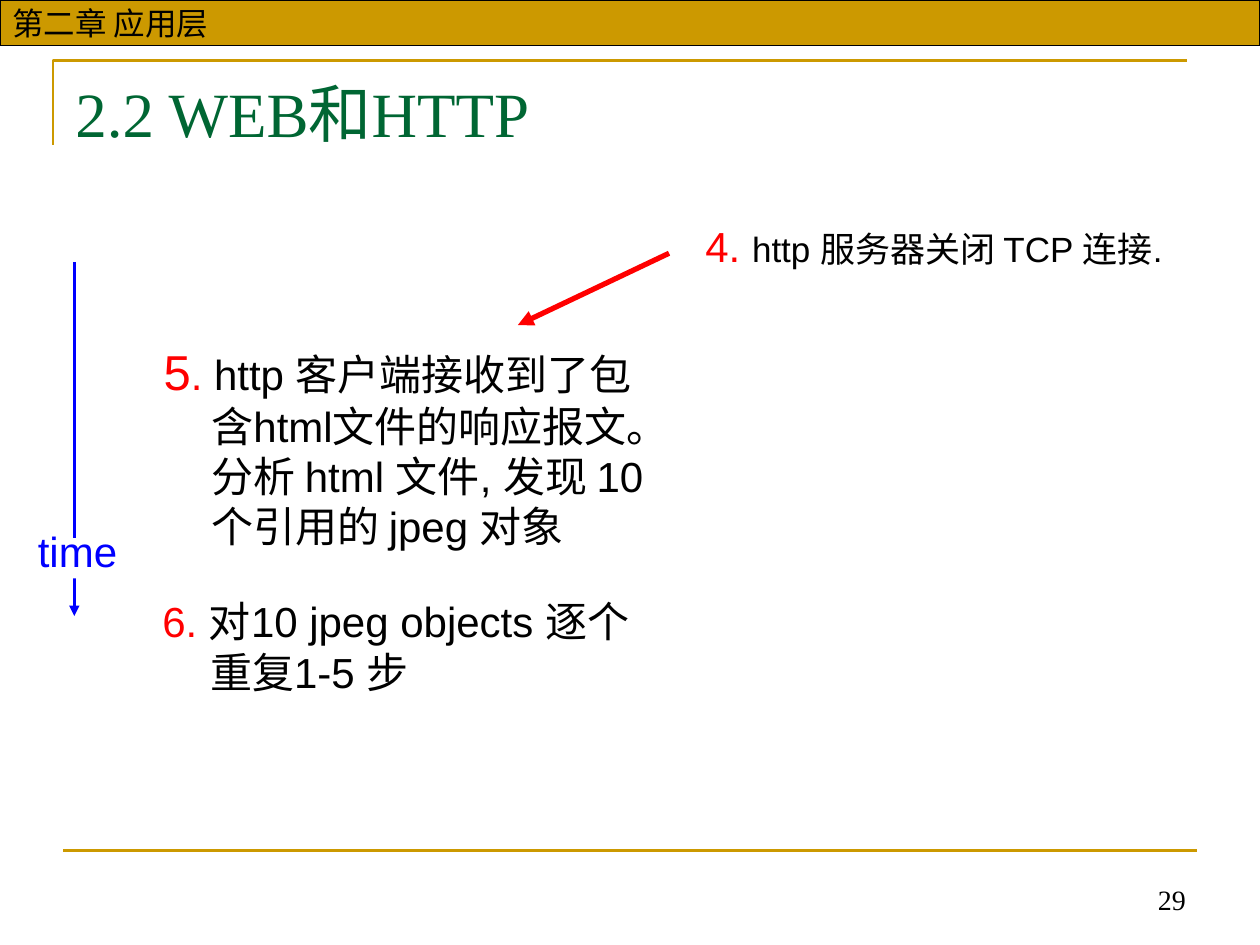
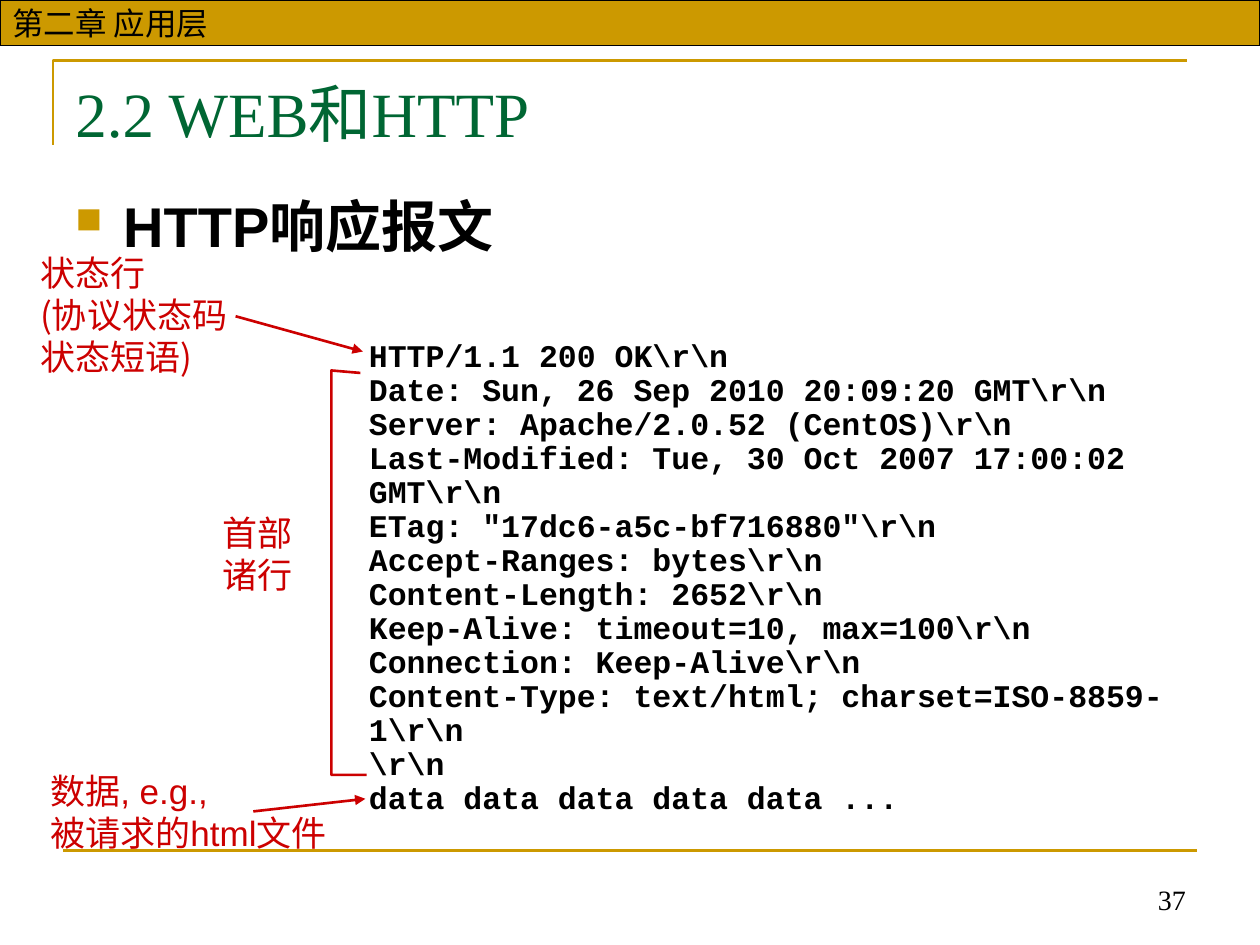
import pptx
import pptx.dml.color
import pptx.enum.shapes
import pptx.enum.text
import pptx.oxml
import pptx.oxml.ns
import pptx.util
from pptx.util import Inches

RGBColor = pptx.dml.color.RGBColor
ALIGN = pptx.enum.text.PP_ALIGN
ANCHOR = pptx.enum.text.MSO_ANCHOR

GOLD = RGBColor(0xCC, 0x99, 0x00)
GREEN = RGBColor(0x00, 0x66, 0x33)
BLACK = RGBColor(0x00, 0x00, 0x00)
WHITE = RGBColor(0xFF, 0xFF, 0xFF)
RED = RGBColor(0xFF, 0x00, 0x00)
DARK_RED = RGBColor(0xCC, 0x00, 0x00)
BLUE = RGBColor(0x00, 0x00, 0xFF)

SANS, SERIF, MONO, CJK = "Arial", "Times New Roman", "Courier New", "Noto Sans CJK SC"
HANGING = {"marL": Inches(0.38), "indent": -Inches(0.38)}

RESPONSE = r"""HTTP/1.1 200 OK\r\n
Date: Sun, 26 Sep 2010 20:09:20 GMT\r\n
Server: Apache/2.0.52 (CentOS)\r\n
Last-Modified: Tue, 30 Oct 2007 17:00:02 GMT\r\n
ETag: "17dc6-a5c-bf716880"\r\n
Accept-Ranges: bytes\r\n
Content-Length: 2652\r\n
Keep-Alive: timeout=10, max=100\r\n
Connection: Keep-Alive\r\n
Content-Type: text/html; charset=ISO-8859-1\r\n
\r\n
data data data data data ..."""


def add_xml(parent, tag, **attributes):
    child = parent.makeelement(pptx.oxml.ns.qn(tag), attributes)
    parent.append(child)
    return child


class LectureSlides:
    def __init__(self, deck):
        self.deck = deck
        self.slide = None

    def new_slide(self, title, number):
        """Start a slide with the frame, chapter band, title and page number."""
        self.slide = self.deck.slides.add_slide(self.deck.slide_layouts[6])
        self.outline([(0.42, 1.15), (0.42, 0.48), (9.42, 0.48)], GOLD)
        self.line((0.5, 6.75), (9.5, 6.75), GOLD)
        band = self.rectangle(0, 0, 10, 0.36, GOLD, BLACK)
        self.fill_text(band.text_frame, [[("第二章 应用层", 18, BLACK)]], anchor=ANCHOR.MIDDLE)
        self.text((6.34, 6.82, 3.17, 0.5), [[(str(number), 16, BLACK)]], font=SERIF,
                  align=ALIGN.RIGHT, anchor=ANCHOR.BOTTOM)
        self.text((0.5, 0.54, 9, 0.77), [[(title, 36, GREEN)]], font=SERIF)

    def text(self, place, paragraphs, **style):
        box = self.slide.shapes.add_textbox(*map(Inches, place))
        self.fill_text(box.text_frame, paragraphs, **style)

    def label(self, place, lines, size, color, **style):
        """Place unwrapped text in a box that fits its lines."""
        self.text(place, [[(line, size, color)] for line in lines], wrap=False, grow=True, **style)

    def fill_text(self, frame, paragraphs, font=SANS, bold=False, align=ALIGN.LEFT,
                  anchor=ANCHOR.TOP, spacing=1.0, wrap=True, grow=False,
                  hanging=False, bullet=None):
        """Write paragraphs, each a list of (text, size, color) spans."""
        frame.word_wrap = wrap
        frame.vertical_anchor = anchor
        if grow:
            frame.auto_size = pptx.enum.text.MSO_AUTO_SIZE.SHAPE_TO_FIT_TEXT
        for index, spans in enumerate(paragraphs):
            para = frame.add_paragraph() if index else frame.paragraphs[0]
            para.alignment = align
            para.line_spacing = spacing
            properties = para._p.get_or_add_pPr()
            if hanging:
                for name, value in HANGING.items():
                    properties.set(name, str(value))
            if bullet:
                bullet_color = add_xml(properties, "a:buClr")
                add_xml(bullet_color, "a:srgbClr", val=str(GOLD))
                add_xml(properties, "a:buSzPct", val="65000")
                add_xml(properties, "a:buChar", char=bullet)
            for content, size, color in spans:
                span = para.add_run()
                span.text = content
                formats = {"name": font, "size": pptx.util.Pt(size), "bold": bold}
                for name, value in formats.items():
                    setattr(span.font, name, value)
                span.font.color.rgb = color
                add_xml(span._r.get_or_add_rPr(), "a:ea", typeface=CJK)

    def rectangle(self, left, top, width, height, fill, border=None):
        shape = self.slide.shapes.add_shape(
            pptx.enum.shapes.MSO_SHAPE.RECTANGLE, *map(Inches, (left, top, width, height)))
        shape.shadow.inherit = False
        shape.fill.solid()
        shape.fill.fore_color.rgb = fill
        if border is None:
            shape.line.fill.background()
        else:
            self.stroke(shape, border, 0.75)
        return shape

    def stroke(self, shape, color, width):
        shape.line.color.rgb = color
        shape.line.width = pptx.util.Pt(width)

    def outline(self, points, color, width=1.5):
        start, *rest = [tuple(map(Inches, point)) for point in points]
        builder = self.slide.shapes.build_freeform(*start)
        builder.add_line_segments(rest, close=False)
        shape = builder.convert_to_shape()
        shape.shadow.inherit = False
        shape.fill.background()
        self.stroke(shape, color, width)

    def line(self, start, end, color, width=1.5, arrow=False):
        connector = self.slide.shapes.add_connector(
            pptx.enum.shapes.MSO_CONNECTOR.STRAIGHT, *map(Inches, start + end))
        self.stroke(connector, color, width)
        if arrow:
            add_xml(connector.line._get_or_add_ln(), "a:tailEnd", type="triangle")
        add_xml(connector._element.spPr, "a:effectLst")


def build_connection_steps(page):
    page.new_slide("2.2 WEB和HTTP", 29)
    steps = [
        ((1.2, 2.66, 4.17, 1.68),
         [("5", 28, RED), (".", 24, RED),
          (" http 客户端接收到了包含html文件的响应报文。分析 html 文件, "
           "发现 10 个引用的 jpeg 对象", 24, BLACK)]),
        ((1.19, 4.68, 4.17, 0.73),
         [("6. ", 24, RED), ("对10 jpeg objects 逐个重复1-5 步", 24, BLACK)]),
        ((5.5, 1.7, 4.17, 0.8),
         [("4. ", 24, RED), ("http 服务器关闭 TCP 连接.", 20, BLACK)]),
    ]
    for place, spans in steps:
        page.text(place, [spans], hanging=True)
    page.line((0.59, 2.08), (0.59, 4.89), BLUE, arrow=True)
    page.rectangle(0.33, 4.27, 0.37, 0.32, WHITE)
    page.label((0.2, 4.12, 0.83, 0.5), ["time"], 24, BLUE, align=ALIGN.CENTER)
    page.line((5.31, 2.01), (4.11, 2.58), RED, width=3, arrow=True)


def build_response_message(page):
    page.new_slide("2.2 WEB和HTTP", 37)
    page.text((0.5, 1.47, 9, 5.2), [[("HTTP响应报文", 32, BLACK)]],
              bold=True, hanging=True, bullet="■")
    page.label((0.22, 1.95, 1.82, 1.1), ["状态行", "(协议状态码", "状态短语)"],
               20, DARK_RED, font=CJK)
    page.line((1.87, 2.51), (2.88, 2.79), DARK_RED, arrow=True)
    page.outline([(2.86, 2.96), (2.63, 2.94), (2.63, 6.15), (2.91, 6.15)], DARK_RED)
    page.label((1.53, 4.01, 0.89, 0.77), ["首部", "诸行"], 20, DARK_RED,
               font=CJK, align=ALIGN.RIGHT)
    page.line((2.01, 6.44), (2.9, 6.34), DARK_RED, arrow=True)
    page.label((0.3, 6.06, 2.53, 0.77), ["数据, e.g.,", "被请求的html文件"], 20, DARK_RED)
    page.text((2.83, 2.65, 6.9, 3.88),
              [[(line, 18, BLACK)] for line in RESPONSE.splitlines()],
              font=MONO, bold=True, spacing=0.9, grow=True)


def main():
    deck = pptx.Presentation()
    deck.slide_width, deck.slide_height = Inches(10), Inches(7.5)
    page = LectureSlides(deck)
    build_connection_steps(page)
    build_response_message(page)
    deck.save("out.pptx")


if __name__ == "__main__":
    main()
